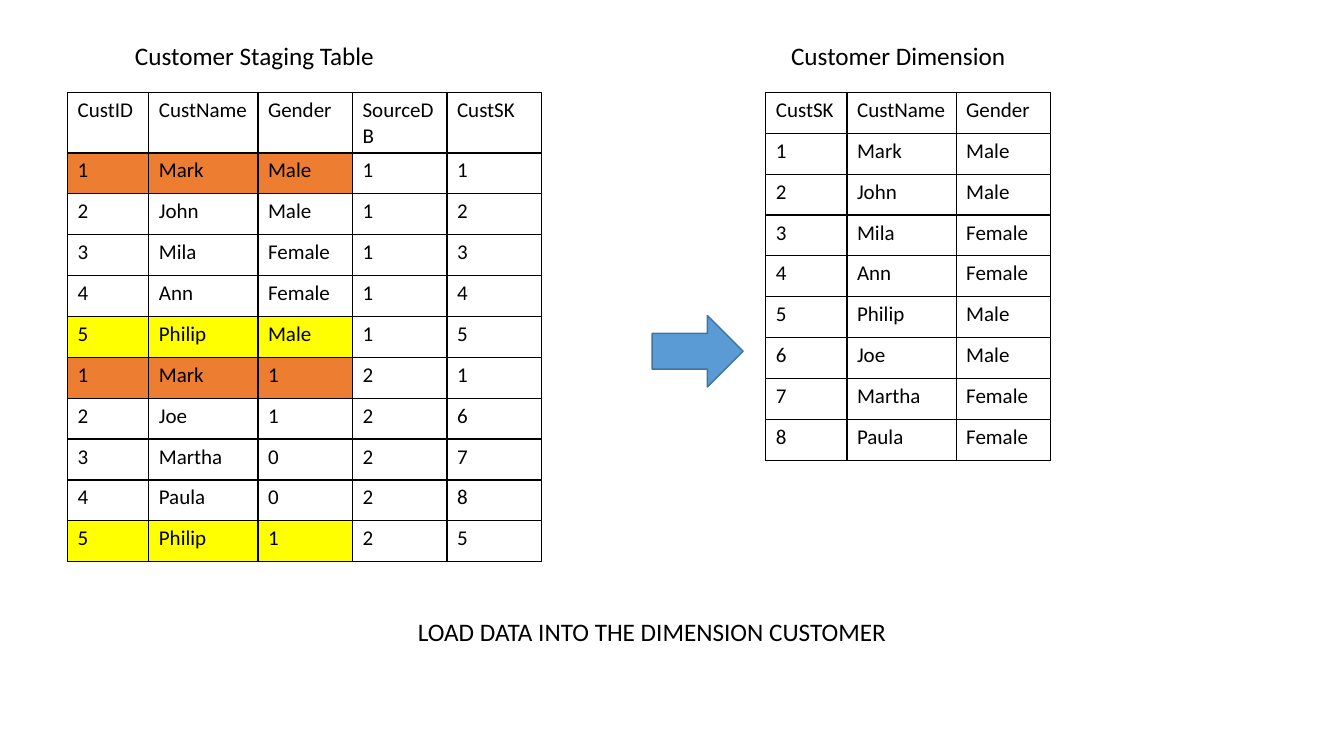
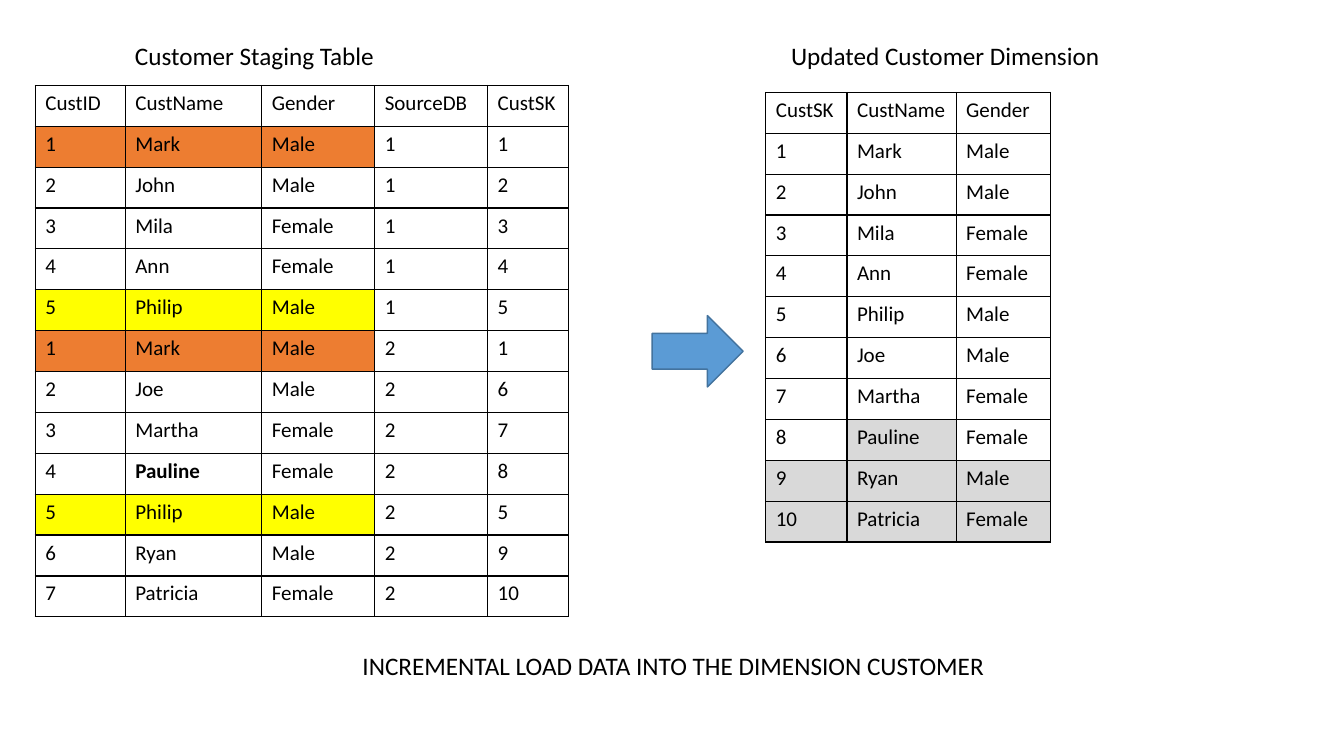
from dataclasses import dataclass

from lxml.etree import SubElement
from pptx import Presentation
from pptx.dml.color import RGBColor
from pptx.enum.shapes import MSO_SHAPE
from pptx.enum.text import MSO_ANCHOR, MSO_AUTO_SIZE, PP_ALIGN
from pptx.oxml.ns import qn
from pptx.util import Pt


@dataclass(frozen=True)
class Theme:
    font: str = "Calibri"
    label_size: float = 18
    cell_size: float = 15
    text: str = "000000"
    border: str = "000000"
    orange: str = "ED7D31"
    yellow: str = "FFFF00"
    grey: str = "D9D9D9"
    arrow: str = "5B9BD5"
    arrow_line: str = "43739E"


theme = Theme()
ROW_HEIGHT = 29.2
DIMENSION_COLS = (58, 78, 67.5)
DUPLICATES = {"Mark": theme.orange, "Philip": theme.yellow}


def write(tf, text, size=theme.label_size, bold=False, align=PP_ALIGN.LEFT):
    tf.word_wrap = True
    p = tf.paragraphs[0]
    p.alignment = align
    r = p.add_run()
    r.text = text
    r.font.name = theme.font
    r.font.size = Pt(size)
    r.font.bold = bold
    r.font.color.rgb = RGBColor.from_string(theme.text)


def add_grid(slide, left, top, widths, rows, fills, bold_cells=()):
    """Add a bordered table; fills maps (row, column) to a colour."""
    frame = slide.shapes.add_table(len(rows), len(widths), Pt(left), Pt(top),
                                   Pt(sum(widths)), Pt(ROW_HEIGHT * len(rows)))
    table = frame.table
    table.first_row = table.horz_banding = False
    for column, width in zip(table.columns, widths):
        column.width = Pt(width)
    for i, row in enumerate(rows):
        table.rows[i].height = Pt(ROW_HEIGHT)
        for j, text in enumerate(row.split()):
            cell = table.cell(i, j)
            write(cell.text_frame, text, size=theme.cell_size, bold=(i, j) in bold_cells)
            tcPr = cell._tc.get_or_add_tcPr()
            for side in ("lnL", "lnR", "lnT", "lnB"):
                ln = SubElement(tcPr, qn(f"a:{side}"), w=str(Pt(1)))
                SubElement(SubElement(ln, qn("a:solidFill")), qn("a:srgbClr"), val=theme.border)
            if (i, j) in fills:
                cell.fill.solid()
                cell.fill.fore_color.rgb = RGBColor.from_string(fills[i, j])
            else:
                cell.fill.background()


# Table contents
staging_header = "CustID CustName Gender SourceDB CustSK"
first_source = ["1 Mark Male 1 1", "2 John Male 1 2", "3 Mila Female 1 3",
                "4 Ann Female 1 4", "5 Philip Male 1 5"]
dimension = ["CustSK CustName Gender", "1 Mark Male", "2 John Male", "3 Mila Female",
             "4 Ann Female", "5 Philip Male", "6 Joe Male", "7 Martha Female"]

slides = [
    dict(
        caption="LOAD DATA INTO THE DIMENSION CUSTOMER",
        caption_at=(236, 436.3),
        staging_at=(48.3, 66),
        staging_cols=(58, 78, 67.5, 67.5, 67.5),
        staging=[staging_header, *first_source, "1 Mark 1 2 1", "2 Joe 1 2 6",
                 "3 Martha 0 2 7", "4 Paula 0 2 8", "5 Philip 1 2 5"],
        bold_cells=(),
        dimension_title="Customer Dimension",
        dimension=[*dimension, "8 Paula Female"],
        changed=(),
    ),
    dict(
        caption="INCREMENTAL LOAD DATA INTO THE DIMENSION CUSTOMER",
        caption_at=(251.3, 460.8),
        staging_at=(25.2, 61),
        staging_cols=(64.3, 97.5, 80.7, 80.7, 57.8),
        staging=[staging_header, *first_source, "1 Mark Male 2 1", "2 Joe Male 2 6",
                 "3 Martha Female 2 7", "4 Pauline Female 2 8", "5 Philip Male 2 5",
                 "6 Ryan Male 2 9", "7 Patricia Female 2 10"],
        bold_cells=((9, 1),),
        dimension_title="Updated Customer Dimension",
        dimension=[*dimension, "8 Pauline Female", "9 Ryan Male", "10 Patricia Female"],
        changed=((8, 1), (9, 0), (9, 1), (9, 2), (10, 0), (10, 1), (10, 2)),
    ),
]

prs = Presentation()
prs.slide_width, prs.slide_height = Pt(960), Pt(540)

for content in slides:
    slide = prs.slides.add_slide(prs.slide_layouts[5])

    # Caption
    sp = slide.shapes.title
    sp.left, sp.top = map(Pt, content["caption_at"])
    sp.width, sp.height = Pt(459.4), Pt(29)
    tf = sp.text_frame
    tf.vertical_anchor = MSO_ANCHOR.TOP
    tf.auto_size = MSO_AUTO_SIZE.SHAPE_TO_FIT_TEXT
    write(tf, content["caption"], align=PP_ALIGN.CENTER)

    # Table headings
    for left, width, text in ((89.3, 225, "Customer Staging Table"),
                              (558, 276.5, content["dimension_title"])):
        sp = slide.shapes.add_textbox(Pt(left), Pt(25.2), Pt(width), Pt(29))
        write(sp.text_frame, text)

    # Staging table with duplicate customers highlighted
    duplicate_fills = {(i, j): DUPLICATES[row.split()[1]]
                       for i, row in enumerate(content["staging"])
                       if row.split()[1] in DUPLICATES for j in range(3)}
    add_grid(slide, *content["staging_at"], content["staging_cols"], content["staging"],
             duplicate_fills, content["bold_cells"])

    # Arrow from staging to dimension
    sp = slide.shapes.add_shape(MSO_SHAPE.RIGHT_ARROW, Pt(465.8), Pt(225.4), Pt(65), Pt(51))
    sp.shadow.inherit = False
    sp.fill.solid()
    sp.fill.fore_color.rgb = RGBColor.from_string(theme.arrow)
    sp.line.color.rgb = RGBColor.from_string(theme.arrow_line)
    sp.line.width = Pt(1)

    # Dimension table with changed cells shaded
    add_grid(slide, 547, 66, DIMENSION_COLS, content["dimension"],
             dict.fromkeys(content["changed"], theme.grey))

prs.save("out.pptx")
